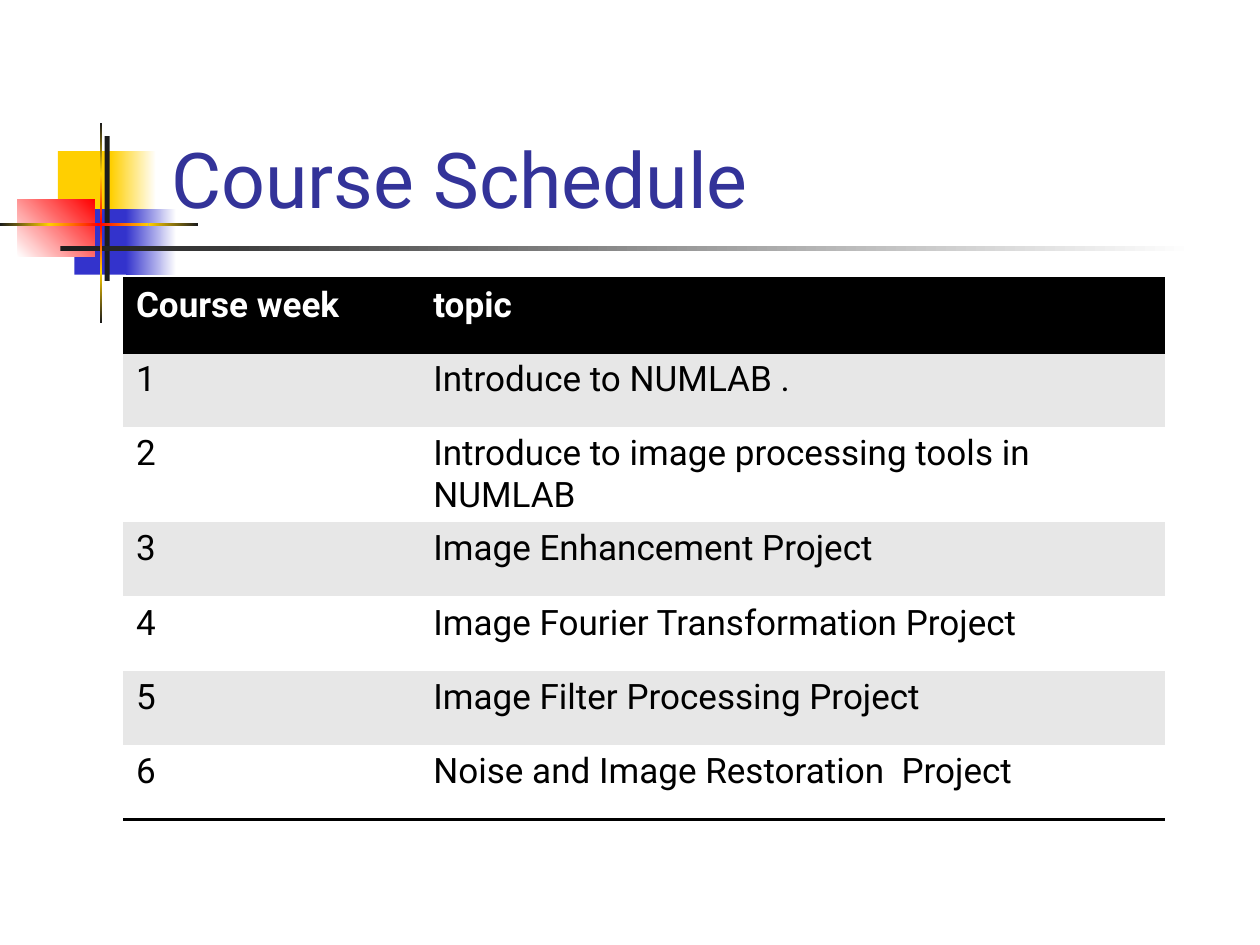
from dataclasses import dataclass

from lxml.etree import SubElement
from pptx import Presentation
from pptx.dml.color import RGBColor
from pptx.enum.shapes import MSO_SHAPE
from pptx.enum.text import MSO_ANCHOR, MSO_AUTO_SIZE, PP_ALIGN
from pptx.oxml.ns import qn
from pptx.util import Inches, Pt

FONT = "Roboto"
GOLD = RGBColor(0xFF, 0xCF, 0x01)
BLUE = RGBColor(0x33, 0x33, 0xCC)
NAVY = RGBColor(0x33, 0x33, 0x99)
RED = RGBColor(0xFF, 0x00, 0x00)
DARK = RGBColor(0x1C, 0x1C, 0x1C)
GREY = RGBColor(0xE7, 0xE7, 0xE7)
WHITE = RGBColor(0xFF, 0xFF, 0xFF)
BLACK = RGBColor(0x00, 0x00, 0x00)


@dataclass
class Block:
    left: float
    top: float
    width: float
    height: float
    colors: tuple[RGBColor, ...]  # one is solid, more make a gradient
    angle: int = 0  # clockwise


# Squares and bars beside the title
BLOCKS = [
    Block(0.46, 1.2, 0.48, 0.52, (GOLD,)),
    Block(0.88, 1.2, 0.36, 0.52, (GOLD, WHITE)),
    Block(0.59, 1.66, 0.46, 0.52, (BLUE,)),
    Block(1, 1.66, 0.4, 0.52, (BLUE, WHITE)),
    Block(0.14, 1.58, 0.61, 0.46, (WHITE, RED), 315),
    Block(0.83, 1.08, 0.04, 1.15, (DARK,)),
    Block(0.48, 1.95, 9, 0.04, (DARK, WHITE)),
]

# Thin cross: each arm fades dark, gold, red, gold, dark
FADES = [(DARK, GOLD), (GOLD, RED, GOLD), (GOLD, DARK)]
DOWN = [0.98, 1.38, 2.16, 2.56]
ACROSS = [0, 0.39, 1.18, 1.57]
THIN = 0.02

ROWS = [
    ("Course week", "topic"),
    ("1", "Introduce to NUMLAB ."),
    ("2", "Introduce to image processing tools in NUMLAB"),
    ("3", "Image Enhancement Project"),
    ("4", "Image Fourier Transformation Project"),
    ("5", "Image Filter Processing Project"),
    ("6", "Noise and Image Restoration  Project"),
]
WIDTHS = [2.36, 5.91]
ROW_H = 0.59


def draw_block(slide, block: Block) -> None:
    shape = slide.shapes.add_shape(
        MSO_SHAPE.RECTANGLE, Inches(block.left), Inches(block.top),
        Inches(block.width), Inches(block.height))
    shape.shadow.inherit = False
    shape.line.fill.background()
    if len(block.colors) == 1:
        shape.fill.solid()
        shape.fill.fore_color.rgb = block.colors[0]
        return
    shape.fill.gradient()
    shape.fill.gradient_angle = -block.angle % 360
    stops = next(shape.element.iter(qn("a:gsLst")))
    for stop in list(stops):
        stops.remove(stop)
    step = 100000 // (len(block.colors) - 1)
    for i, color in enumerate(block.colors):
        stop = SubElement(stops, qn("a:gs"), pos=str(i * step))
        SubElement(stop, qn("a:srgbClr"), val=str(color))


def draw_cross(slide) -> None:
    for fade, start, end in zip(FADES, DOWN, DOWN[1:]):
        draw_block(slide, Block(0.79, start, THIN, end - start, fade, 90))
    for fade, start, end in zip(FADES, ACROSS, ACROSS[1:]):
        draw_block(slide, Block(start, 1.77, end - start, THIN, fade))


def set_edges(cell, inked: set[str]) -> None:
    props = cell._tc.get_or_add_tcPr()
    paint = props.find(qn("a:solidFill"))
    for side in ("lnL", "lnR", "lnT", "lnB"):
        line = props.makeelement(qn(f"a:{side}"), {"w": str(Pt(2))})
        if side in inked:
            fill = SubElement(line, qn("a:solidFill"))
            SubElement(fill, qn("a:srgbClr"), val=str(BLACK))
        else:
            SubElement(line, qn("a:noFill"))
        # Borders come before the cell's fill
        paint.addprevious(line)


def draw_table(slide) -> None:
    table = slide.shapes.add_table(
        len(ROWS), len(WIDTHS), Inches(0.98), Inches(2.21),
        Inches(sum(WIDTHS)), Inches(ROW_H * len(ROWS))).table
    for col, width in zip(table.columns, WIDTHS):
        col.width = Inches(width)
    for r, row in enumerate(ROWS):
        table.rows[r].height = Inches(ROW_H)
        head = r == 0
        inked = set()
        if r < 2:
            inked.add("lnT")
        if r in (0, len(ROWS) - 1):
            inked.add("lnB")
        for c, text in enumerate(row):
            cell = table.cell(r, c)
            cell.text = text
            cell.fill.solid()
            cell.fill.fore_color.rgb = BLACK if head else GREY if r % 2 else WHITE
            font = cell.text_frame.paragraphs[0].font
            font.name = FONT
            font.size = Pt(20)
            font.bold = head
            font.color.rgb = WHITE if head else BLACK
            set_edges(cell, inked)


def set_title(slide) -> None:
    title = slide.shapes.title
    title.left, title.top = Inches(1.26), Inches(0.23)
    title.width, title.height = Inches(8.52), Inches(1.6)
    frame = title.text_frame
    frame.text = "Course Schedule"
    frame.word_wrap = True
    frame.auto_size = MSO_AUTO_SIZE.NONE
    frame.vertical_anchor = MSO_ANCHOR.BOTTOM
    para = frame.paragraphs[0]
    para.alignment = PP_ALIGN.LEFT
    para.font.name = FONT
    para.font.size = Pt(44)
    para.font.color.rgb = NAVY
    # Bring the title in front of the squares
    title.element.getparent().append(title.element)


def main() -> None:
    deck = Presentation()
    deck.slide_width, deck.slide_height = Inches(10), Inches(7.5)
    slide = deck.slides.add_slide(deck.slide_layouts[5])
    for block in BLOCKS:
        draw_block(slide, block)
    draw_cross(slide)
    set_title(slide)
    draw_table(slide)
    deck.save("out.pptx")


if __name__ == "__main__":
    main()
